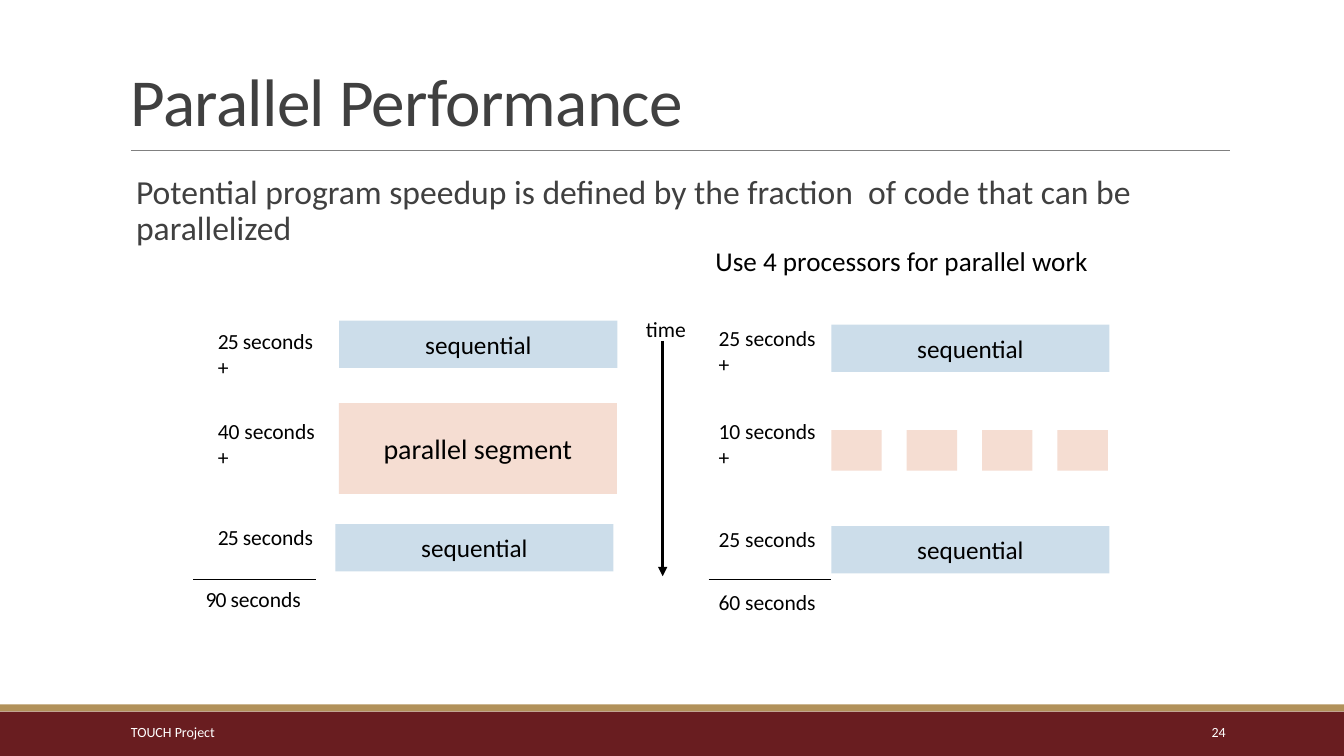
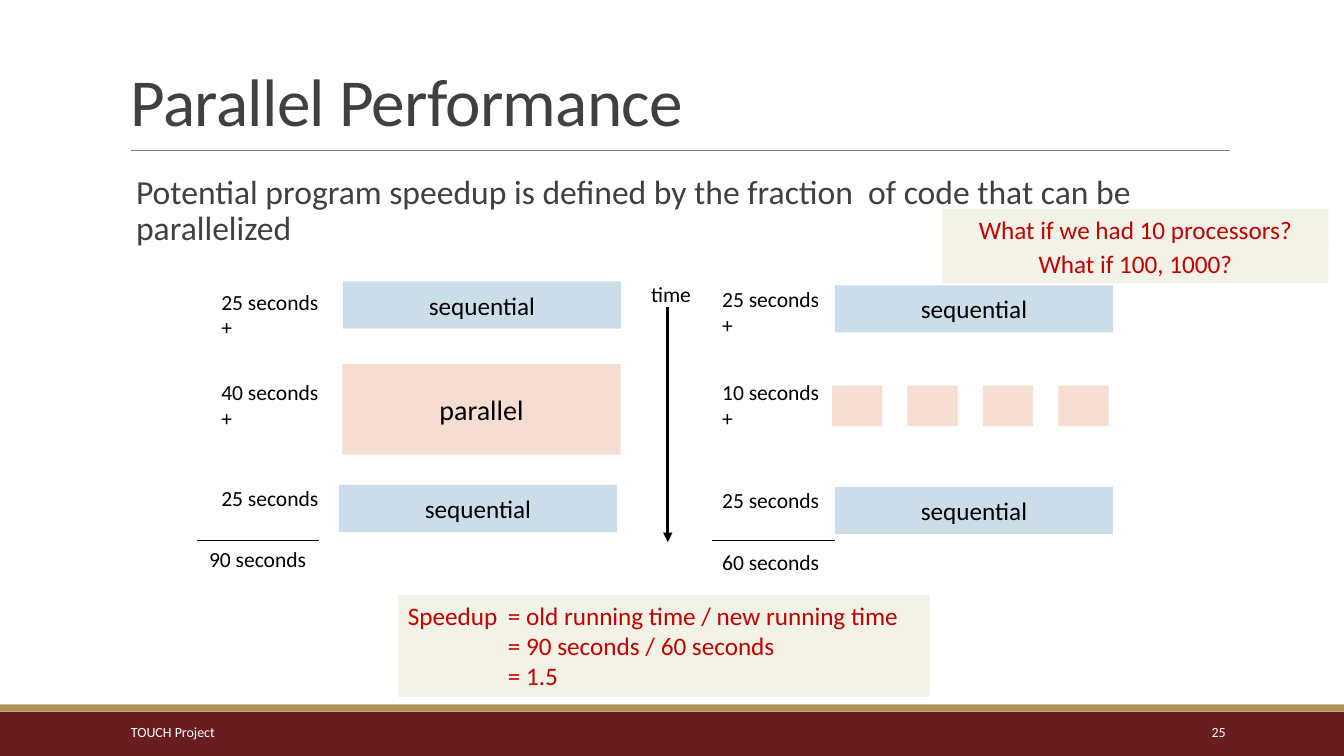
from dataclasses import dataclass

from lxml import etree
from pptx import Presentation
from pptx.dml.color import RGBColor
from pptx.enum.shapes import MSO_CONNECTOR, MSO_SHAPE
from pptx.enum.text import MSO_ANCHOR, PP_ALIGN
from pptx.oxml.ns import qn
from pptx.util import Cm, Pt

RECT, LINE = MSO_SHAPE.RECTANGLE, MSO_CONNECTOR.STRAIGHT
TOP, MID, LOW = MSO_ANCHOR.TOP, MSO_ANCHOR.MIDDLE, MSO_ANCHOR.BOTTOM
LEFT, MIDST, RIGHT = PP_ALIGN.LEFT, PP_ALIGN.CENTER, PP_ALIGN.RIGHT
WIDE, HIGH = 33.87, 19.05


@dataclass(frozen=True)
class Theme:
    font: str = "Calibri"
    # Colours
    ink: str = "404040"
    black: str = "000000"
    white: str = "FFFFFF"
    red: str = "C00000"
    grey: str = "808080"
    wine: str = "691D20"
    gold: str = "B1915A"
    blue: str = "CCDDEA"
    pink: str = "F5DDD2"
    cream: str = "F3F2E6"
    # Type sizes
    title: float = 48
    body: float = 24
    block: float = 20
    head: float = 19.4
    note: float = 18
    label: float = 15.4
    foot: float = 10


T = Theme()


class Deck:
    def __init__(self):
        self.prs = Presentation()
        self.prs.slide_width, self.prs.slide_height = Cm(WIDE), Cm(HIGH)
        self.slide = None

    def page(self, title, number):
        """Start a slide with its bands, title and footer."""
        self.slide = self.prs.slides.add_slide(self.prs.slide_layouts[6])
        self.box(0, 17.93, WIDE, 1.12, T.wine)
        self.box(0, 17.75, WIDE, 0.18, T.gold)
        self.line(3.3, 3.78, 30.99, 3.78, T.grey, 0.5)
        self.text(3.05, 0.79, 27.94, 2.87, [title], T.title, T.ink,
                  anchor=LOW, pad=(0.25, 0.13), lead=0.85, track=-0.5)
        foot = dict(size=T.foot, color=T.white, anchor=MID, pad=(0.25, 0.13))
        self.text(3.05, 17.93, 6.86, 1.02, ["TOUCH Project"], **foot)
        self.text(27.51, 17.93, 3.63, 1.02, [number], align=RIGHT, **foot)

    def fill(self, shape, lines, size, color, align=LEFT, anchor=TOP,
             pad=(0, 0), lead=None, track=0, tab=None):
        """Write paragraphs; a bar in a line ends a tightly spaced run."""
        frame = shape.text_frame
        frame.word_wrap = True
        frame.vertical_anchor = anchor
        frame.margin_left = frame.margin_right = Cm(pad[0])
        frame.margin_top = frame.margin_bottom = Cm(pad[1])
        for i, words in enumerate(lines):
            para = frame.add_paragraph() if i else frame.paragraphs[0]
            para.alignment = align
            if tab:
                stops = etree.SubElement(para._p.get_or_add_pPr(), qn("a:tabLst"))
                etree.SubElement(stops, qn("a:tab"), pos=str(Cm(tab)), algn="l")
            if lead:
                para.line_spacing = lead
            parts = words.split("|")
            for j, part in enumerate(parts):
                run = para.add_run()
                run.text = part
                run.font.name, run.font.size = T.font, Pt(size)
                run.font.color.rgb = RGBColor.from_string(color)
                space = -0.6 if j < len(parts) - 1 else track
                if space:
                    run._r.get_or_add_rPr().set("spc", str(round(space * 100)))

    def text(self, x, y, w, h, lines, size, color=T.black, **style):
        shape = self.slide.shapes.add_textbox(Cm(x), Cm(y), Cm(w), Cm(h))
        self.fill(shape, lines, size, color, **style)

    def box(self, x, y, w, h, color):
        shape = self.slide.shapes.add_shape(RECT, Cm(x), Cm(y), Cm(w), Cm(h))
        shape.shadow.inherit = False
        shape.fill.solid()
        shape.fill.fore_color.rgb = RGBColor.from_string(color)
        shape.line.fill.background()
        return shape

    def block(self, x, y, h, words, size, color):
        self.fill(self.box(x, y, 7.01, h, color), [words], size, T.black,
                  align=MIDST, anchor=MID)

    def note(self, x, y, w, h, lines, **style):
        self.fill(self.box(x, y, w, h, T.cream), lines, T.note, T.red,
                  pad=(0.25, 0.13), **style)

    def line(self, x1, y1, x2, y2, color=T.black, width=0.82, arrow=False):
        link = self.slide.shapes.add_connector(LINE, Cm(x1), Cm(y1), Cm(x2), Cm(y2))
        link.line.color.rgb = RGBColor.from_string(color)
        link.line.width = Pt(width)
        if arrow:
            etree.SubElement(link.line._get_or_add_ln(), qn("a:tailEnd"), type="triangle")
        etree.SubElement(link._element.spPr, qn("a:effectLst"))

    def chart(self, old, middle, base=(0, 0), clock=(0, 0), tiles=(0, 0)):
        """Draw both timings; each part takes its own shift."""
        dx, dy = base
        # Blocks of work
        for x, y in ((8.55, 8.08), (8.45, 13.21), (20.95, 8.18), (20.95, 13.26)):
            self.block(x + dx, y + dy, 1.19, "sequential", T.note, T.blue)
        self.block(8.54 + dx, 10.16 + dy, 2.29, middle, T.block, T.pink)
        for i in range(4):
            self.box(20.95 + 1.9 * i + tiles[0], 10.84 + tiles[1], 1.27, 1.02, T.pink)
        # Seconds and their sums
        new = ("25 seconds", "10 seconds", "25 seconds", "60 seconds")
        sides = ((old, (5.49, 5.49, 5.49, 5.18), (8.26, 10.54, 13.21, 14.76), 4.87),
                 (new, (18.11,) * 4, (8.2, 10.54, 13.26, 14.83), 17.86))
        for names, lefts, tops, start in sides:
            for i, (name, x, y) in enumerate(zip(names, lefts, tops)):
                lines = [name, "+"] if i < 2 else [name]
                self.text(x + dx, y + dy, 2.87, 0.66 * len(lines), lines, T.label)
            self.line(start + dx, 14.6 + dy, start + 3.09 + dx, 14.6 + dy)
        # Time arrow
        dx, dy = clock
        self.text(16.28 + dx, 7.95 + dy, 1.09, 0.66, ["time"], T.label)
        self.line(16.7 + dx, 8.59 + dy, 16.7 + dx, 14.52 + dy, width=2.25, arrow=True)


def main():
    deck = Deck()
    title = "Parallel Performance"
    claim = ("Potential program speedup is defined by the fraction  of code "
             "that can be parallelized")

    def start(number):
        deck.page(title, number)
        deck.text(3.43, 4.29, 28.83, 2.2, [claim], T.body, T.ink,
                  pad=(0, 0.13), lead=0.9)

    # Four processors
    start("24")
    deck.text(18.03, 6.17, 10.41, 0.84, ["Use 4 processors for parallel work"], T.head)
    deck.chart(("25 |seconds", "40 seconds", "25 |seconds", "90 |seconds"),
               "parallel segment")

    # Speedup
    start("25")
    deck.chart(("25 seconds", "40 seconds", "25 seconds", "90 seconds"), "parallel",
               base=(0.09, -0.99), clock=(0.13, -0.86), tiles=(0.02, -1.12))
    deck.note(10.03, 14.99, 13.39, 2.57,
              ["Speedup\t= old running time / new running time",
               "\t= 90 seconds / 60 seconds", "\t= 1.5"], tab=2.52)
    for i, words in enumerate(("What if we had 10 processors?", "What if 100, 1000?")):
        deck.note(23.75, 5.26 + 0.86 * i, 9.73, 1.02, [words], align=MIDST)

    deck.prs.save("out.pptx")


if __name__ == "__main__":
    main()
